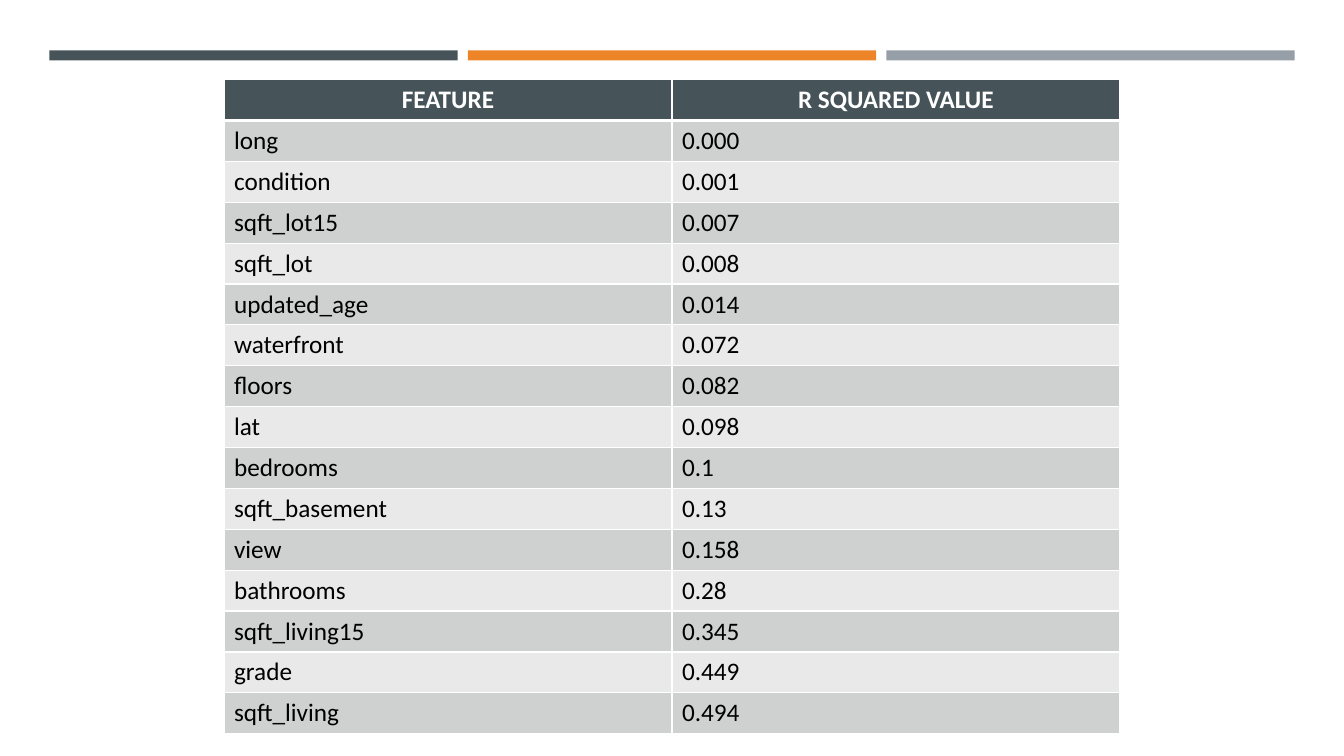
from lxml.etree import SubElement
from pptx import Presentation
from pptx.dml.color import RGBColor
from pptx.enum.shapes import MSO_SHAPE
from pptx.enum.text import PP_ALIGN
from pptx.oxml.ns import qn
from pptx.util import Inches, Pt

# Colours and font
SLATE = RGBColor(0x46, 0x53, 0x59)
ORANGE = RGBColor(0xED, 0x84, 0x28)
GREY = RGBColor(0x96, 0x9F, 0xA7)
DARK_BAND = RGBColor(0xCF, 0xD1, 0xD1)
LIGHT_BAND = RGBColor(0xE9, 0xE9, 0xEA)
WHITE = RGBColor(0xFF, 0xFF, 0xFF)
BLACK = RGBColor(0x00, 0x00, 0x00)
FONT = "Calibri"

# Layout in inches
SLIDE_WIDTH, SLIDE_HEIGHT = 13.33, 7.5
BAR_LEFT, BAR_TOP, BAR_WIDTH, BAR_HEIGHT, BAR_GAP = 0.49, 0.5, 4.05, 0.1, 0.1
TABLE_WIDTH, TABLE_TOP, TABLE_HEIGHT = SLIDE_WIDTH * 2 / 3, 0.79, 6.48
TABLE_LEFT = (SLIDE_WIDTH - TABLE_WIDTH) / 2

HEADERS = ("FEATURE", "R SQUARED VALUE")
FEATURES = [
    ("long", "0.000"),
    ("condition", "0.001"),
    ("sqft_lot15", "0.007"),
    ("sqft_lot", "0.008"),
    ("updated_age", "0.014"),
    ("waterfront", "0.072"),
    ("floors", "0.082"),
    ("lat", "0.098"),
    ("bedrooms", "0.1"),
    ("sqft_basement", "0.13"),
    ("view", "0.158"),
    ("bathrooms", "0.28"),
    ("sqft_living15", "0.345"),
    ("grade", "0.449"),
    ("sqft_living", "0.494"),
]


def add_bar(slide, column, color):
    left = BAR_LEFT + column * (BAR_WIDTH + BAR_GAP)
    bar = slide.shapes.add_shape(
        MSO_SHAPE.RECTANGLE, Inches(left), Inches(BAR_TOP),
        Inches(BAR_WIDTH), Inches(BAR_HEIGHT))
    bar.shadow.inherit = False
    bar.fill.solid()
    bar.fill.fore_color.rgb = color
    bar.line.fill.background()


def set_borders(cell, top, bottom):
    """Draw white cell borders; the widths are in points."""
    properties = cell._tc.get_or_add_tcPr()
    for side, width in (("L", 1), ("R", 1), ("T", top), ("B", bottom)):
        line = SubElement(properties, qn(f"a:ln{side}"), w=str(Pt(width)))
        fill = SubElement(line, qn("a:solidFill"))
        SubElement(fill, qn("a:srgbClr"), val=str(WHITE))


def fill_cell(cell, text, row):
    is_header = row == 0
    set_borders(cell, top=3 if row == 1 else 1, bottom=3 if is_header else 1)
    cell.fill.solid()
    band = DARK_BAND if row % 2 else LIGHT_BAND
    cell.fill.fore_color.rgb = SLATE if is_header else band
    paragraph = cell.text_frame.paragraphs[0]
    paragraph.alignment = PP_ALIGN.CENTER if is_header else PP_ALIGN.LEFT
    run = paragraph.add_run()
    run.text = text
    run.font.name = FONT
    run.font.size = Pt(18)
    run.font.bold = is_header
    run.font.color.rgb = WHITE if is_header else BLACK


def add_feature_table(slide):
    rows = [HEADERS, *FEATURES]
    table = slide.shapes.add_table(
        len(rows), len(HEADERS), Inches(TABLE_LEFT), Inches(TABLE_TOP),
        Inches(TABLE_WIDTH), Inches(TABLE_HEIGHT)).table
    for row, values in enumerate(rows):
        for column, text in enumerate(values):
            fill_cell(table.cell(row, column), text, row)


def main():
    presentation = Presentation()
    presentation.slide_width = Inches(SLIDE_WIDTH)
    presentation.slide_height = Inches(SLIDE_HEIGHT)
    slide = presentation.slides.add_slide(presentation.slide_layouts[6])

    # Coloured bars across the top
    for column, color in enumerate((SLATE, ORANGE, GREY)):
        add_bar(slide, column, color)

    # Features ranked by R squared
    add_feature_table(slide)

    presentation.save("out.pptx")


if __name__ == "__main__":
    main()
